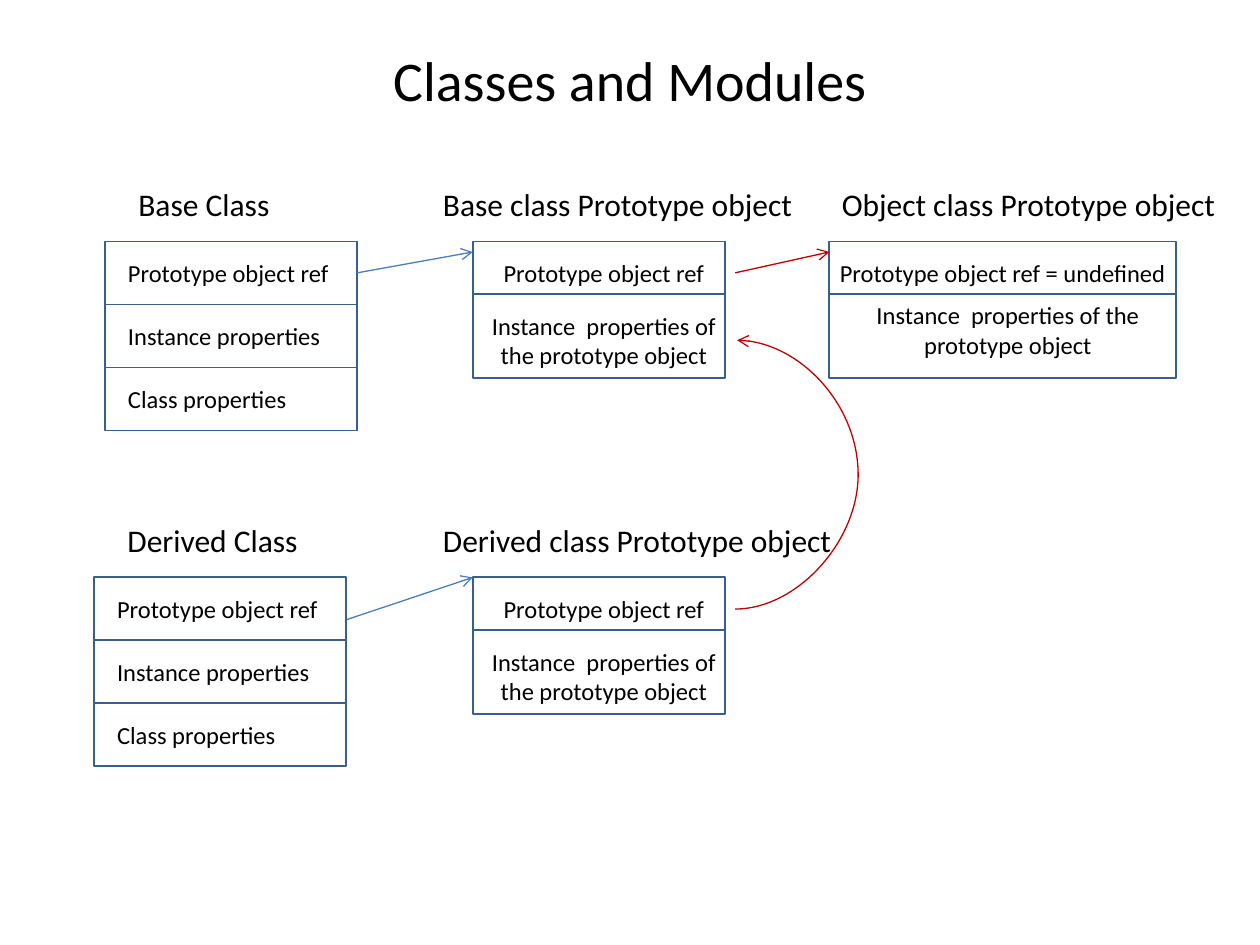
from lxml.etree import SubElement
from pptx import Presentation
from pptx.dml.color import RGBColor
from pptx.enum.shapes import MSO_CONNECTOR, MSO_SHAPE
from pptx.enum.text import MSO_ANCHOR, MSO_AUTO_SIZE, PP_ALIGN
from pptx.oxml.ns import qn
from pptx.util import Cm, Pt

COLORS = {"text": "000000", "edge": "3A5F8C", "own": "4B7EBC", "up": "C00000"}
PAD = 0.21
HEAD_GAP = 1.27
REF = "Prototype object ref"
BODY = "Instance  properties of the prototype object"


def color(name):
    return RGBColor.from_string(COLORS[name])


def style(frame, size, align):
    para = frame.paragraphs[0]
    para.alignment = align
    font = para.runs[0].font
    for key, value in {"name": "Calibri", "size": Pt(size)}.items():
        setattr(font, key, value)
    font.color.rgb = color("text")


def label(slide, text, left, top, width, height, size=14, align=PP_ALIGN.LEFT):
    box = slide.shapes.add_textbox(Cm(left), Cm(top), Cm(width), Cm(height))
    frame = box.text_frame
    form = {"text": text, "word_wrap": True,
            "auto_size": MSO_AUTO_SIZE.SHAPE_TO_FIT_TEXT}
    for key, value in form.items():
        setattr(frame, key, value)
    style(frame, size, align)


def head(slide, text, left, top, width):
    label(slide, text, left, top - HEAD_GAP, width, 1.02, size=18)


def cell(slide, left, top, width, height):
    box = slide.shapes.add_shape(
        MSO_SHAPE.RECTANGLE, Cm(left), Cm(top), Cm(width), Cm(height))
    box.shadow.inherit = False
    box.fill.background()
    box.line.color.rgb = color("edge")
    box.line.width = Pt(1)


def class_box(slide, left, top, name):
    """Three stacked cells under a class name."""
    width, height = 5.08, 1.27
    head(slide, name, left + 0.42, top, 4.24)
    for row, text in enumerate((REF, "Instance properties", "Class properties")):
        y = top + row * height
        cell(slide, left, y, width, height)
        label(slide, text, left + PAD, y + PAD, width - PAD, 0.86)


def proto_box(slide, left, top, width, name, name_dx, name_width,
              ref=REF, ref_dx=0, body_dy=PAD):
    """A reference cell over a properties cell, under a heading."""
    ref_h, body_h = 1.06, 1.69
    head(slide, name, left + name_dx, top, name_width)
    cell(slide, left, top, width, ref_h)
    label(slide, ref, left + ref_dx, top + PAD, width + PAD - ref_dx, 0.86,
          align=PP_ALIGN.CENTER)
    cell(slide, left, top + ref_h, width, body_h)
    label(slide, BODY, left, top + ref_h + body_dy, width + PAD, 1.45,
          align=PP_ALIGN.CENTER)


def arrow(slide, start, end, tint, kind=MSO_CONNECTOR.STRAIGHT):
    link = slide.shapes.add_connector(kind, *map(Cm, start + end))
    link.line.color.rgb = color(tint)
    link.line.width = Pt(0.75)
    SubElement(link.line._get_or_add_ln(), qn("a:tailEnd"), type="arrow")
    SubElement(link._element.spPr, qn("a:effectLst"))
    return link


def curve(slide, start, end, reach, tint):
    """A curved arrow that bulges to the x position given as reach."""
    link = arrow(slide, start, end, tint, MSO_CONNECTOR.CURVE)
    bend = round((reach - start[0]) / (end[0] - start[0]) * 100000)
    guides = link._element.spPr.find(qn("a:prstGeom")).get_or_add_avLst()
    SubElement(guides, qn("a:gd"), name="adj1", fmla=f"val {bend}")


def title(slide, text):
    box = slide.shapes.title
    place = {"left": 1.27, "top": 0, "width": 22.86, "height": 3.18}
    for key, value in place.items():
        setattr(box, key, Cm(value))
    frame = box.text_frame
    frame.text = text
    frame.vertical_anchor = MSO_ANCHOR.MIDDLE
    style(frame, 32, PP_ALIGN.CENTER)


def main():
    deck = Presentation()
    deck.slide_width, deck.slide_height = Cm(25.4), Cm(19.05)
    slide = deck.slides.add_slide(deck.slide_layouts[5])
    base, derived = 4.87, 11.64
    proto, root = 9.53, 16.72

    title(slide, "Classes and Modules")
    class_box(slide, 2.12, base, "Base Class")
    proto_box(slide, proto, base, 5.08, "Base class Prototype object", -0.85, 8.26)
    proto_box(slide, root, base, 6.99, "Object class Prototype object", 0, 8.26,
              ref=REF + " = undefined", ref_dx=-PAD, body_dy=0)
    class_box(slide, 1.9, derived, "Derived Class")
    proto_box(slide, proto, derived, 5.08, "Derived class Prototype object",
              -0.85, 9.09)

    arrow(slide, (7.2, 5.5), (proto, 5.08), "own")
    arrow(slide, (6.99, 12.49), (proto, derived), "own")
    arrow(slide, (14.82, 5.5), (root, 5.08), "up")
    curve(slide, (14.82, 12.28), (14.86, 6.86), 17.3, "up")
    deck.save("out.pptx")


if __name__ == "__main__":
    main()
